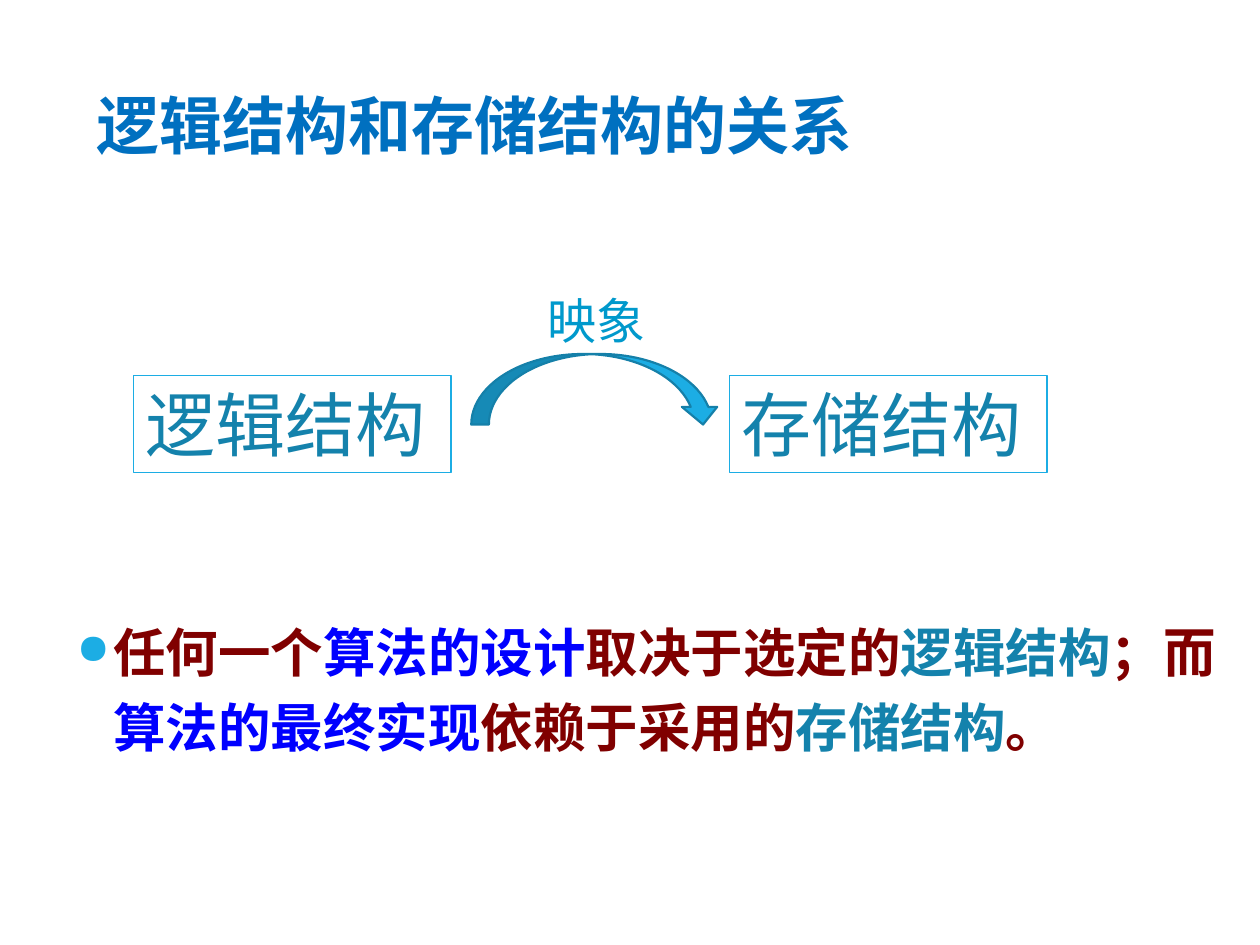
import pptx
import pptx.util
import pptx.dml.color
import pptx.enum.shapes
import pptx.enum.text
import lxml.etree
from pptx.util import Inches

RGBColor = pptx.dml.color.RGBColor
TITLE_BLUE = RGBColor(0x00, 0x70, 0xC0)
MAROON = RGBColor(0x80, 0x00, 0x00)
BLUE = RGBColor(0x00, 0x00, 0xFF)
TEAL = RGBColor(0x14, 0x82, 0xAC)
SKY = RGBColor(0x1C, 0xAD, 0xE4)
ARROW_EDGE = RGBColor(0x15, 0x80, 0xA9)
LABEL_BLUE = RGBColor(0x00, 0x99, 0xCC)

STATEMENT = [
    ("任何一个", MAROON),
    ("算法的设计", BLUE),
    ("取决于选定的", MAROON),
    ("逻辑结构", TEAL),
    ("；而", MAROON),
    ("算法的最终实现", BLUE),
    ("依赖于采用的", MAROON),
    ("存储结构", TEAL),
    ("。", MAROON),
]


def add_run(paragraph, text, font_name, size, color, bold=False):
    run = paragraph.add_run()
    run.text = text
    run.font.name = font_name
    run.font.size = pptx.util.Pt(size)
    run.font.bold = bold
    run.font.color.rgb = color


def add_text(slide, left, top, width, height):
    frame = slide.shapes.add_textbox(
        Inches(left), Inches(top), Inches(width), Inches(height)).text_frame
    frame.word_wrap = True
    return frame.paragraphs[0]


def add_bullet(paragraph, indent, color):
    properties = paragraph._p.get_or_add_pPr()
    properties.set("marL", str(Inches(indent)))
    properties.set("indent", str(-Inches(indent)))
    for tag, value in (("buClr", None), ("buSzPct", "80000"), ("buChar", "●")):
        element = lxml.etree.SubElement(properties, pptx.oxml.ns.qn("a:" + tag))
        if tag == "buClr":
            lxml.etree.SubElement(
                element, pptx.oxml.ns.qn("a:srgbClr")).set("val", str(color))
        else:
            element.set("char" if tag == "buChar" else "val", value)


def add_structure_box(slide, left, name):
    box = slide.shapes.add_shape(
        pptx.enum.shapes.MSO_SHAPE.RECTANGLE,
        Inches(left), Inches(2.98), Inches(2.52), Inches(0.77))
    box.shadow.inherit = False
    box.fill.background()
    box.line.color.rgb = SKY
    box.line.width = pptx.util.Pt(0.75)
    box.text_frame.word_wrap = True
    box.text_frame.vertical_anchor = pptx.enum.text.MSO_ANCHOR.TOP
    paragraph = box.text_frame.paragraphs[0]
    paragraph.alignment = pptx.enum.text.PP_ALIGN.LEFT
    add_run(paragraph, name, "Arial", 40, TEAL)


def add_mapping_arrow(slide):
    arrow = slide.shapes.add_shape(
        pptx.enum.shapes.MSO_SHAPE.CURVED_DOWN_ARROW,
        Inches(3.74), Inches(2.81), Inches(1.98), Inches(0.56))
    arrow.shadow.inherit = False
    arrow.fill.solid()
    arrow.fill.fore_color.rgb = SKY
    arrow.line.color.rgb = ARROW_EDGE
    arrow.line.width = pptx.util.Pt(1.25)


def main():
    presentation = pptx.Presentation()
    presentation.slide_width = Inches(10)
    presentation.slide_height = Inches(7.5)
    slide = presentation.slides.add_slide(presentation.slide_layouts[6])

    title = add_text(slide, 0.67, 0.64, 6.92, 0.67)
    add_run(title, "逻辑结构和存储结构的关系", "Calibri", 36, TITLE_BLUE, True)

    statement = add_text(slide, 0.51, 4.77, 9.29, 1.5)
    statement.line_spacing = 1.2
    add_bullet(statement, 0.29, SKY)
    for text, color in STATEMENT:
        add_run(statement, text, "Noto Sans CJK SC", 30, color, True)

    for left, name in ((1.06, "逻辑结构"), (5.79, "存储结构")):
        add_structure_box(slide, left, name)
    add_mapping_arrow(slide)
    mapping = add_text(slide, 4.25, 2.26, 1.57, 0.57)
    add_run(mapping, "映象", "Arial", 28, LABEL_BLUE)

    presentation.save("out.pptx")


if __name__ == "__main__":
    main()
